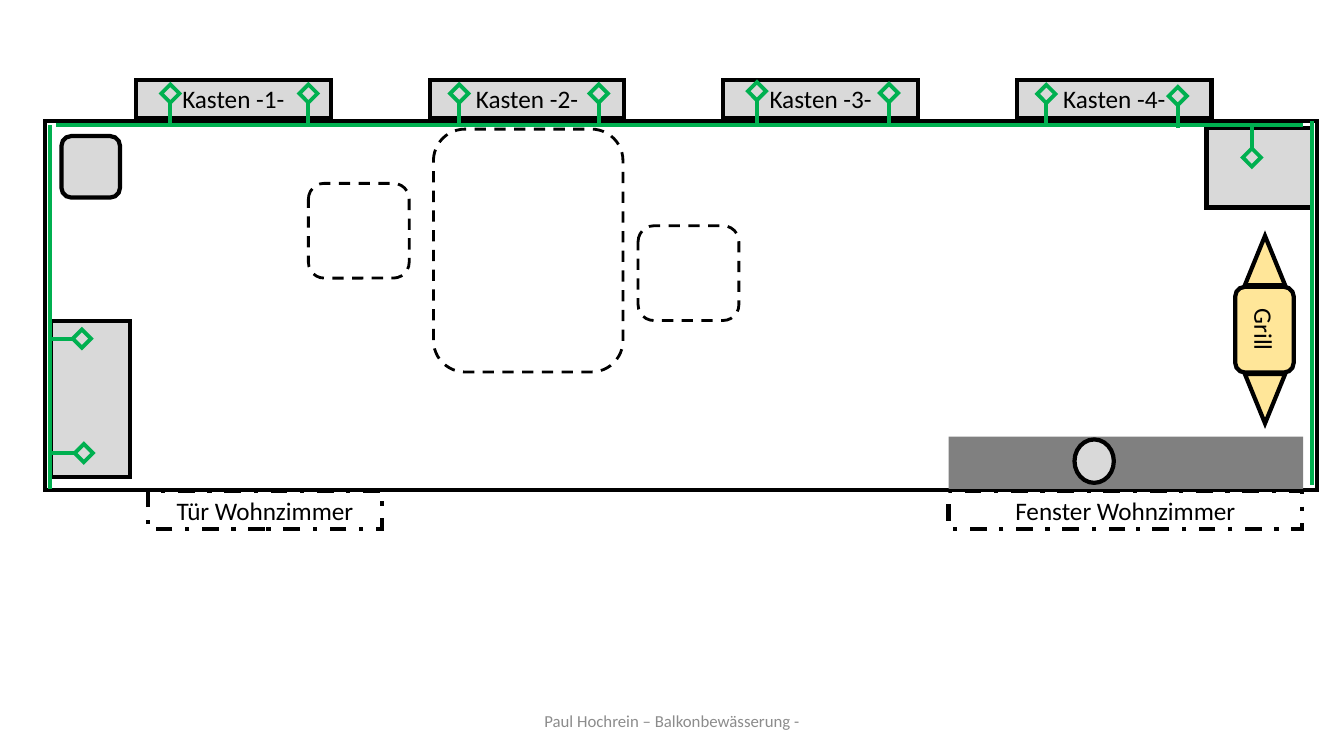
from lxml import etree
from pptx import Presentation
from pptx.dml.color import RGBColor
from pptx.enum.dml import MSO_LINE
from pptx.enum.shapes import MSO_CONNECTOR, MSO_SHAPE
from pptx.enum.text import MSO_ANCHOR, PP_ALIGN
from pptx.oxml.ns import qn
from pptx.util import Pt

RECTANGLE = MSO_SHAPE.RECTANGLE
ROUNDED = MSO_SHAPE.ROUNDED_RECTANGLE
TRIANGLE = MSO_SHAPE.ISOSCELES_TRIANGLE
OVAL = MSO_SHAPE.OVAL
DIAMOND = MSO_SHAPE.FLOWCHART_DECISION
STRAIGHT = MSO_CONNECTOR.STRAIGHT
DASH, DASH_DOT = MSO_LINE.DASH, MSO_LINE.DASH_DOT
CENTER, MIDDLE = PP_ALIGN.CENTER, MSO_ANCHOR.MIDDLE

BLACK = RGBColor(0x00, 0x00, 0x00)
LIGHT_GRAY = RGBColor(0xD9, 0xD9, 0xD9)
DARK_GRAY = RGBColor(0x80, 0x80, 0x80)
FOOTER_GRAY = RGBColor(0x8C, 0x8C, 0x8C)
YELLOW = RGBColor(0xFF, 0xE6, 0x99)
GREEN = RGBColor(0x00, 0xB0, 0x50)

UP, DOWN, RIGHT = (0, -1), (0, 1), (1, 0)


class BalconyPlan:
    """Holds the style and the current slide."""

    font = "Calibri"
    pipe_width = 2.75
    stem = 16
    dripper_size = 13

    def __init__(self, slide):
        """Draw on the given slide."""
        self.shapes = slide.shapes

    def set_text(self, shape, text, size, color):
        """Put one centred paragraph into a shape."""
        frame = shape.text_frame
        frame.word_wrap = True
        frame.vertical_anchor = MIDDLE
        para = frame.paragraphs[0]
        para.text = text
        para.alignment = CENTER
        para.font.name = self.font
        para.font.size = Pt(size)
        para.font.color.rgb = color

    def label(self, left, top, width, height, text, size, color):
        """Add a text box."""
        box = self.shapes.add_textbox(Pt(left), Pt(top), Pt(width), Pt(height))
        self.set_text(box, text, size, color)

    def shape(self, kind, left, top, width, height, fill=None, line=BLACK,
              weight=3, dash=None, rotation=0, text=None):
        """Add a preset shape with sharp line joins."""
        shape = self.shapes.add_shape(kind, Pt(left), Pt(top), Pt(width), Pt(height))
        shape.shadow.inherit = False
        shape.rotation = rotation
        if fill is None:
            shape.fill.background()
        else:
            shape.fill.solid()
            shape.fill.fore_color.rgb = fill
        if line is None:
            shape.line.fill.background()
        else:
            shape.line.color.rgb = line
            shape.line.width = Pt(weight)
            if dash is not None:
                shape.line.dash_style = dash
            outline = shape._element.spPr.find(qn("a:ln"))
            etree.SubElement(outline, qn("a:miter"), lim="800000")
        if text:
            self.set_text(shape, text, 18, BLACK)

    def pipe(self, x1, y1, x2, y2):
        """Add a straight green water pipe."""
        pipe = self.shapes.add_connector(STRAIGHT, Pt(x1), Pt(y1), Pt(x2), Pt(y2))
        pipe.line.color.rgb = GREEN
        pipe.line.width = Pt(self.pipe_width)
        etree.SubElement(pipe._element.spPr, qn("a:effectLst"))

    def dripper(self, x, y, direction):
        """Add a stem from a pipe with a diamond at its end."""
        step_x, step_y = direction
        self.pipe(x, y, x + step_x * self.stem, y + step_y * self.stem)
        half = self.dripper_size / 2
        reach = self.stem + half
        self.shape(DIAMOND, x + step_x * reach - half, y + step_y * reach - half,
                   self.dripper_size, self.dripper_size,
                   line=GREEN, weight=self.pipe_width)


deck = Presentation()
deck.slide_width, deck.slide_height = Pt(960), Pt(540)
plan = BalconyPlan(deck.slides.add_slide(deck.slide_layouts[6]))

plan.label(318, 500.4, 324, 28.8, "Paul Hochrein – Balkonbewässerung -", 12, FOOTER_GRAY)

# Balcony outline, openings and plant boxes
plan.shape(RECTANGLE, 32.4, 86.4, 908.6, 263.5)
for left, width, name in [(105.8, 167, "Tür"), (677.5, 252.7, "Fenster")]:
    plan.shape(RECTANGLE, left, 350.6, width, 27.4, dash=DASH_DOT,
               text=f"{name} Wohnzimmer")
for index in range(4):
    plan.shape(RECTANGLE, 97.2 + index * 209.75, 56.9, 139, 27.4,
               fill=LIGHT_GRAY, text=f"Kasten -{index + 1}-")
plan.shape(RECTANGLE, 36, 229, 56.9, 111.6, fill=LIGHT_GRAY)
plan.shape(RECTANGLE, 861.8, 91.4, 75.6, 56.9, fill=LIGHT_GRAY)

# Grill, bench and round pot
plan.shape(ROUNDED, 872.6, 214.6, 61.2, 41.8, fill=YELLOW, rotation=90, text="Grill")
for top, rotation in [(168.5, 0), (267.1, 180)]:
    plan.shape(TRIANGLE, 889.2, top, 28.8, 35.3, fill=YELLOW, rotation=rotation)
plan.shape(RECTANGLE, 677.5, 311.8, 253.4, 37.4, fill=DARK_GRAY, line=None)
plan.shape(OVAL, 767.5, 313.9, 28.1, 31, fill=LIGHT_GRAY)

# Water pipes and drippers
plan.pipe(36, 349.2, 36, 89.3)
plan.pipe(40.3, 89.3, 931, 89.3)
plan.pipe(937.4, 346.3, 937.4, 86.4)
for x, y in [(121.7, 89.3), (220.3, 89.3), (328, 89.3), (427.7, 89.3),
             (540.7, 87.6), (635, 88.9), (747.4, 89.6), (841.3, 91.1)]:
    plan.dripper(x, y, UP)
plan.dripper(894.2, 90, DOWN)
plan.dripper(36, 241.9, RIGHT)
plan.dripper(37.4, 323.6, RIGHT)

# Table, two chairs and the corner stool
for left, top, width, height in [(309.6, 92.2, 135.4, 173.5),
                                 (220.3, 131, 72, 67.7),
                                 (455.8, 161.3, 72, 67.7)]:
    plan.shape(ROUNDED, left, top, width, height, weight=2, dash=DASH)
plan.shape(ROUNDED, 43.9, 97.2, 41.8, 43.9, fill=LIGHT_GRAY)

deck.save("out.pptx")
